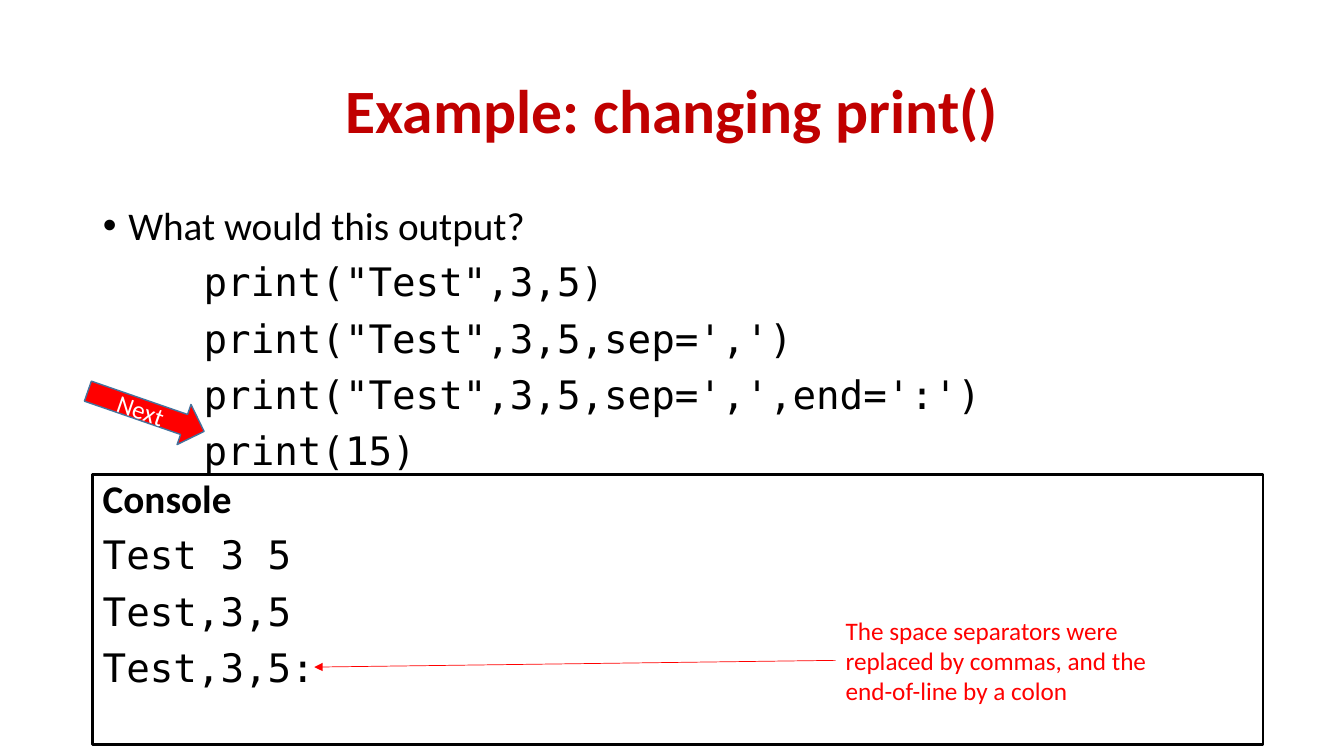
from lxml.etree import SubElement
from pptx import Presentation
from pptx.dml.color import RGBColor
from pptx.enum.shapes import MSO_CONNECTOR as Connector, MSO_SHAPE as Preset
from pptx.enum.text import MSO_ANCHOR as Anchor, MSO_AUTO_SIZE as AutoSize, PP_ALIGN as Align
from pptx.oxml.ns import qn
from pptx.util import Cm, Pt

SANS, MONO = "Calibri", "DejaVu Sans Mono"
BLACK, WHITE, RED, DARK_RED, BLUE = "000000", "FFFFFF", "FF0000", "C00000", "43739E"


def color(target, value):
    target.rgb = RGBColor.from_string(value)


def write(paragraph, text, font=SANS, size=28, ink=BLACK, bold=False, align=Align.LEFT,
          line=0.9, before=10, left=0, hanging=0, bullet=None):
    run = paragraph.add_run()
    run.text = text
    run.font.name, run.font.size, run.font.bold = font, Pt(size), bold
    color(run.font.color, ink)
    paragraph.alignment = align
    paragraph.line_spacing, paragraph.space_before = line, Pt(before)
    properties = paragraph._p.get_or_add_pPr()
    properties.set("marL", str(Cm(left)))
    properties.set("indent", str(-Cm(hanging)))
    if bullet:
        SubElement(properties, qn("a:buFont"), typeface="Arial")
        SubElement(properties, qn("a:buChar"), char=bullet)
    else:
        SubElement(properties, qn("a:buNone"))


class SlideBuilder:
    """Builds one slide in a shared text and line style."""

    def __init__(self, slide):
        self.slide = slide
        self.shapes = slide.shapes

    def fill_text(self, shape, lines, anchor=Anchor.TOP, auto_size=AutoSize.NONE):
        frame = shape.text_frame
        frame.word_wrap, frame.vertical_anchor, frame.auto_size = True, anchor, auto_size
        for number, (text, style) in enumerate(lines):
            write(frame.add_paragraph() if number else frame.paragraphs[0], text, **style)

    def placeholder(self, index, box, lines, **frame_style):
        holder = self.slide.placeholders[index]
        holder.left, holder.top, holder.width, holder.height = map(Cm, box)
        self.fill_text(holder, lines, **frame_style)

    def shape(self, preset, box, lines, outline, width, fill=None, rotation=0, **frame_style):
        shape = self.shapes.add_shape(preset, *map(Cm, box))
        shape.shadow.inherit = False
        shape.rotation = rotation
        if fill:
            shape.fill.solid()
            color(shape.fill.fore_color, fill)
        else:
            shape.fill.background()
        color(shape.line.color, outline)
        shape.line.width = Pt(width)
        self.fill_text(shape, lines, **frame_style)

    def callout(self, box, lines, start, end, ink):
        group = self.shapes.add_group_shape()
        note = group.shapes.add_textbox(*map(Cm, box))
        self.fill_text(note, lines, auto_size=AutoSize.SHAPE_TO_FIT_TEXT)
        pointer = group.shapes.add_connector(Connector.STRAIGHT, *map(Cm, start + end))
        color(pointer.line.color, ink)
        pointer.line.width = Pt(0.5)
        SubElement(pointer.line._get_or_add_ln(), qn("a:tailEnd"), type="triangle")
        SubElement(pointer._element.spPr, qn("a:effectLst"))


def main():
    deck = Presentation()
    deck.slide_width, deck.slide_height = Cm(33.87), Cm(19.05)
    builder = SlideBuilder(deck.slides.add_slide(deck.slide_layouts[1]))

    builder.placeholder(0, (2.34, 1.02, 29.21, 3.68), [
        ("Example: changing print()",
         dict(size=44, ink=DARK_RED, bold=True, align=Align.CENTER, before=0)),
    ], anchor=Anchor.MIDDLE)

    statements = ['print("Test",3,5)', "print(\"Test\",3,5,sep=',')",
                  "print(\"Test\",3,5,sep=',',end=':')", "print(15)"]
    question = ("What would this output?", dict(left=0.64, hanging=0.64, bullet="•"))
    builder.placeholder(1, (2.34, 5.08, 29.21, 12.09),
                        [question] + [(code, dict(font=MONO, left=2.54)) for code in statements])

    outputs = ["Test 3 5", "Test,3,5", "Test,3,5:"]
    builder.shape(Preset.RECTANGLE, (2.34, 11.96, 29.49, 6.81),
                  [("Console", dict(bold=True))] + [(text, dict(font=MONO)) for text in outputs],
                  outline=BLACK, width=2)

    builder.shape(Preset.RIGHT_ARROW, (2.13, 9.83, 3.1, 1.07),
                  [("Next", dict(size=18, ink=WHITE, align=Align.CENTER, line=1, before=0))],
                  outline=BLUE, width=1, fill=RED, rotation=19.1, anchor=Anchor.MIDDLE)

    explanation = "The space separators were replaced by commas, and the end-of-line by a colon"
    builder.callout((21.06, 15.37, 8.89, 2.57),
                    [(explanation, dict(size=18, ink=RED, line=1, before=0))],
                    start=(21.06, 16.64), end=(7.92, 16.81), ink=RED)

    deck.save("out.pptx")


if __name__ == "__main__":
    main()
